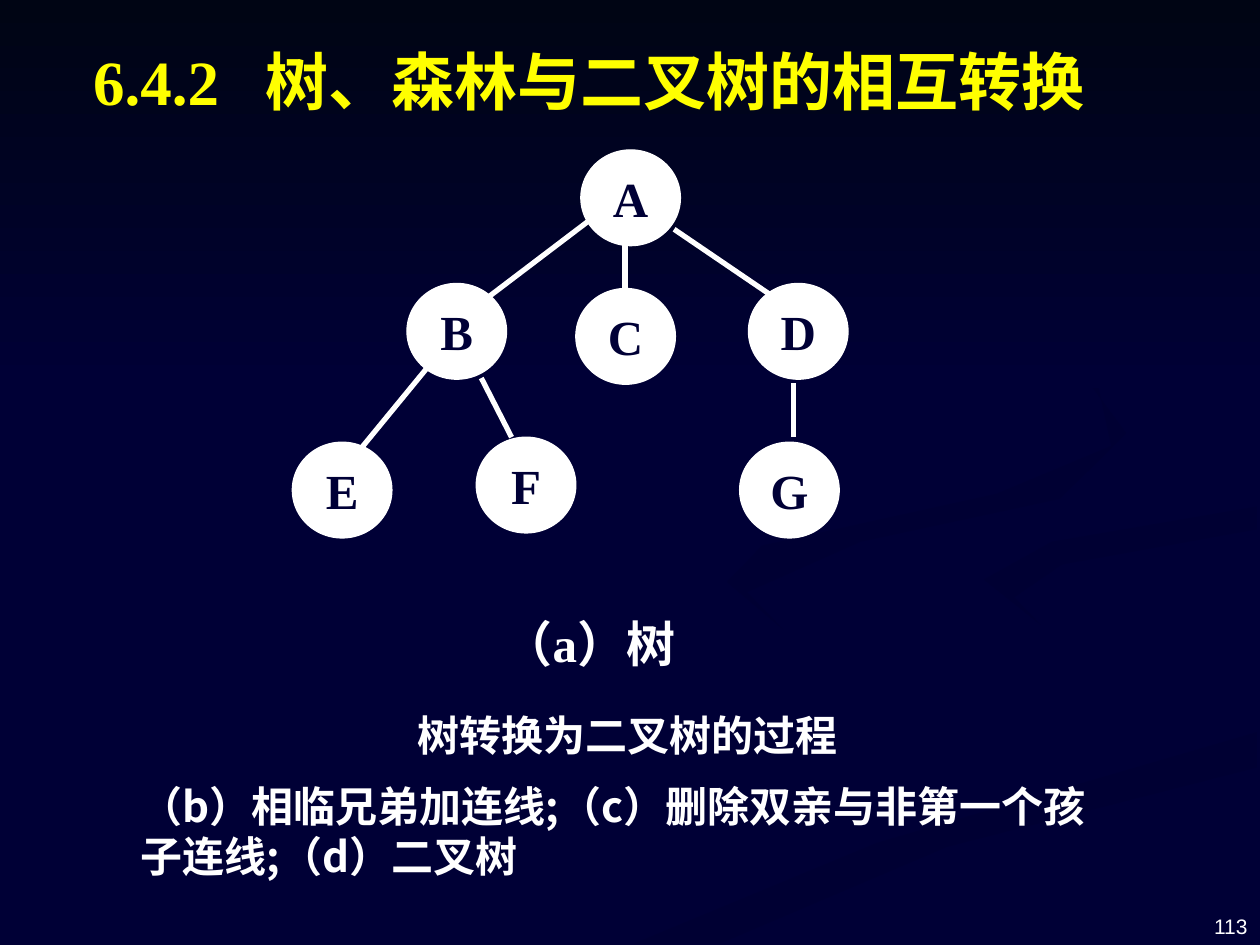
"""Build the slide on converting trees and forests to binary trees."""
from dataclasses import dataclass
from lxml.etree import SubElement
from pptx import Presentation
from pptx.dml.color import RGBColor as Rgb
from pptx.enum.shapes import MSO_CONNECTOR as Connector, MSO_SHAPE as Shape
from pptx.enum.text import MSO_ANCHOR as Anchor, PP_ALIGN as Align
from pptx.oxml.ns import qn
from pptx.util import Pt

PX = 9144


@dataclass(frozen=True)
class Theme:
    navy: Rgb = Rgb.from_string("000036")
    shade: Rgb = Rgb.from_string("000033")
    night: Rgb = Rgb.from_string("000514")
    white: Rgb = Rgb.from_string("FFFFFF")
    yellow: Rgb = Rgb.from_string("FFFF00")
    serif: str = "Times New Roman"
    sans: str = "Arial"
    chinese: str = "Noto Sans CJK SC"
    title: int = 36
    label: int = 28
    body: int = 24
    number: int = 12


theme = Theme()


def style(para, size, face, color, bold=True, align=Align.LEFT, spacing=None):
    para.alignment = align
    if spacing:
        para.line_spacing = Pt(spacing)
    font = para.font
    font.size, font.name, font.bold = Pt(size), face, bold
    font.color.rgb = color
    defaults = para._p.pPr.find(qn("a:defRPr"))
    SubElement(defaults, qn("a:ea"), typeface=theme.chinese)


def add_text(left, top, width, height, wrap=True):
    box = page.shapes.add_textbox(left * PX, top * PX, width * PX, height * PX)
    box.text_frame.word_wrap = wrap
    return box.text_frame


deck = Presentation()
deck.slide_width, deck.slide_height = 1000 * PX, 750 * PX
page = deck.slides.add_slide(deck.slide_layouts[6])
page.background.fill.solid()
page.background.fill.fore_color.rgb = theme.navy

ribbons = [
    (theme.navy, theme.shade, 0, [
        (781, 553), (614, 496), (575, 459), (602, 495), (781, 556), (759, 590),
        (458, 674), (300, 749), (361, 749), (564, 665), (780, 605), (800, 581)]),
    (theme.navy, theme.shade, 45, [
        (943, 570), (888, 535), (758, 498), (724, 464), (746, 500), (892, 553),
        (917, 581), (894, 605)]),
    (theme.shade, theme.navy, 90, [
        (503, 749), (571, 749), (752, 672), (998, 609), (998, 581), (696, 669)]),
    (theme.shade, theme.navy, 45, [
        (781, 460), (826, 496), (805, 474), (843, 448), (998, 420), (998, 402),
        (835, 430)]),
    (theme.shade, theme.navy, 45, [
        (683, 430), (841, 396), (894, 344), (843, 275), (762, 233), (870, 299),
        (882, 354), (791, 392), (605, 433), (577, 462), (622, 500), (593, 470)]),
    (theme.night, theme.navy, 90, [(0, 0), (0, 308), (1000, 308), (1000, 0)]),
]
for first, last, angle, points in ribbons:
    builder = page.shapes.build_freeform(*points[0], scale=PX)
    builder.add_line_segments(points[1:], close=True)
    ribbon = builder.convert_to_shape()
    ribbon.shadow.inherit = False
    ribbon.line.fill.background()
    ribbon.fill.gradient()
    ribbon.fill.gradient_angle = (360 - angle) % 360
    for stop, color in zip(ribbon.fill.gradient_stops, (first, last)):
        stop.color.rgb = color

number = add_text(767, 698, 233, 52)
number.vertical_anchor = Anchor.BOTTOM
number.text = "113"
style(number.paragraphs[0], theme.number, theme.sans, theme.white, False, Align.RIGHT)

steps = add_text(102, 559, 792, 150)
steps.text = "树转换为二叉树的过程\n（b）相临兄弟加连线;（c）删除双亲与非第一个孩子连线;（d）二叉树"
for para, align in zip(steps.paragraphs, (Align.CENTER, Align.LEFT)):
    style(para, theme.body, theme.chinese, theme.white, align=align, spacing=28.5)
steps.paragraphs[1].space_before = Pt(12)

tree = page.shapes.add_group_shape()
nodes = {"A": (461, 119), "B": (323, 225), "C": (457, 229), "D": (594, 225),
         "E": (232, 351), "F": (378, 347), "G": (587, 351)}
for name, (left, top) in nodes.items():
    node = tree.shapes.add_shape(Shape.OVAL, left * PX, top * PX, 79 * PX, 76 * PX)
    node.shadow.inherit = False
    node.fill.solid()
    node.fill.fore_color.rgb = node.line.color.rgb = theme.white
    node.line.width = Pt(0.75)
    frame = node.text_frame
    frame.margin_top = frame.margin_bottom = 0
    frame.vertical_anchor = Anchor.MIDDLE
    frame.text = name
    style(frame.paragraphs[0], theme.label, theme.serif, theme.navy, align=Align.CENTER)

branches = [(469, 174, 386, 237), (496, 193, 496, 229), (535, 182, 610, 233),
            (339, 292, 284, 359), (382, 300, 406, 347), (630, 304, 630, 347)]
for ends in branches:
    branch = tree.shapes.add_connector(Connector.STRAIGHT, *(end * PX for end in ends))
    branch.line.color.rgb = theme.white
    branch.line.width = Pt(3)
    SubElement(branch._element.spPr, qn("a:effectLst"))

caption = add_text(390, 476, 176, 63, wrap=False)
caption.text = "（a）树"
style(caption.paragraphs[0], theme.label, theme.serif, theme.white, spacing=38)

title = add_text(64, 28, 811, 71, wrap=False)
title.text = "6.4.2\t树、森林与二叉树的相互转换"
heading = title.paragraphs[0]
tabs = SubElement(heading._p.get_or_add_pPr(), qn("a:tabLst"))
SubElement(tabs, qn("a:tab"), pos=str(137 * PX), algn="l")
style(heading, theme.title, theme.serif, theme.yellow, spacing=44)

deck.save("out.pptx")
